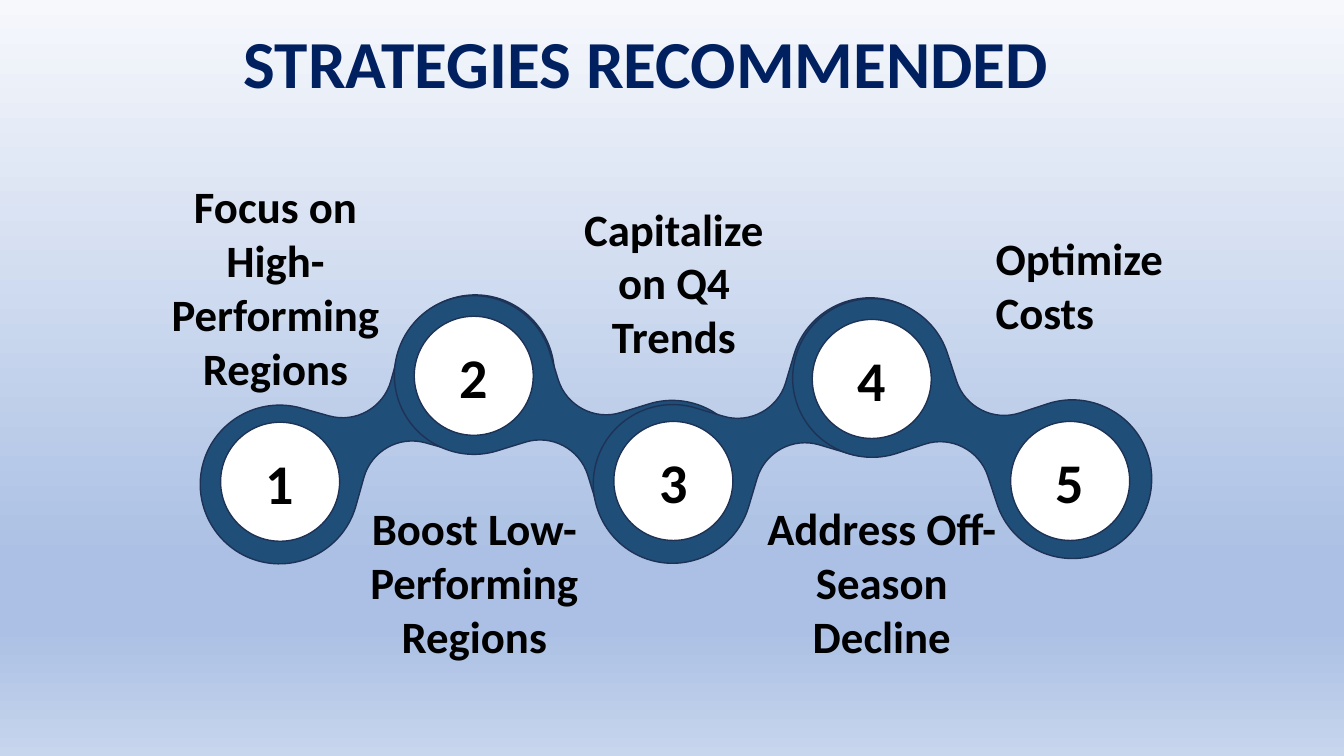
import copy

import lxml.etree
import pptx
import pptx.dml.color
import pptx.enum.shapes
import pptx.enum.text
import pptx.oxml.ns
import pptx.util

Cm = pptx.util.Cm
qn = pptx.oxml.ns.qn
ALIGN = pptx.enum.text.PP_ALIGN
ANCHOR = pptx.enum.text.MSO_ANCHOR

COLORS = {
    "title": "002060",
    "text": "000000",
    "link": "1F4E79",
    "edge": "1E3256",
    "disc": "FFFFFF",
}
BACKGROUND = [(0, "F6F8FC"), (0.74, "ABC0E4"), (0.83, "ABC0E4"), (1, "C7D5ED")]
LINKS = [(9.51, 10.82, 15.6), (14.44, 10.77, 72.8), (19.44, 10.85, 16.6), (24.5, 10.8, 71.8)]
DISCS = [(7.06, 12.14), (11.94, 9.47), (16.97, 12.12), (21.97, 9.55), (26.97, 12.12)]
LABELS = [
    ("Focus on High-Performing Regions", (4.01, 4.39, 5.87, 5.74), ALIGN.CENTER),
    ("Boost Low-Performing Regions", (9.02, 12.5, 5.87, 4.37), ALIGN.CENTER),
    ("Capitalize on Q4 Trends", (14.05, 4.95, 5.87, 4.37), ALIGN.CENTER),
    ("Address Off-Season Decline", (18.87, 12.5, 6.71, 4.37), ALIGN.CENTER),
    ("Optimize Costs", (24.84, 5.69, 6.12, 3), ALIGN.LEFT),
]
DISC_SIZE = 3
LOBE = 2
WAIST = 1.26
ARC = 0.55


def color(value):
    return pptx.dml.color.RGBColor.from_string(value)


def toward(start, corner):
    return tuple(a + ARC * (b - a) for a, b in zip(start, corner))


def link_outline():
    start = (LOBE, -2 * LOBE)
    steps = [
        ((2 * LOBE, -2 * LOBE), (2 * LOBE, -LOBE)),
        ((2 * LOBE, 0), (LOBE, 0)),
        (None, (WAIST, 0)),
        ((0, 0), (0, WAIST)),
        (None, (0, LOBE)),
        ((0, 2 * LOBE), (-LOBE, 2 * LOBE)),
    ]
    half, here = [], start
    for corner, end in steps:
        if corner is None:
            half += [here, end, end]
        else:
            half += [toward(here, corner), toward(end, corner), end]
        here = end
    return [start] + half + [(-x, -y) for x, y in half]


class StrategyPage:
    """Style and drawing methods for the strategy chain slide."""

    font = "Calibri"

    def __init__(self, deck):
        self.page = deck.slides.add_slide(deck.slide_layouts[5])
        self.shapes = self.page.shapes

    def background(self, stops):
        fill = self.page.background.fill
        fill.gradient()
        fill.gradient_angle = 270
        stop_list = self.page.element.find(".//" + qn("a:gsLst"))
        stop_list.extend([copy.deepcopy(stop) for stop in stop_list])
        for stop, (position, value) in zip(fill.gradient_stops, stops):
            stop.position = position
            stop.color.rgb = color(value)

    def set_text(self, shape, text, size, align, ink="text", anchor=ANCHOR.TOP):
        frame = shape.text_frame
        frame.word_wrap = True
        frame.vertical_anchor = anchor
        para = frame.paragraphs[0]
        para.text = text
        para.alignment = align
        para.font.name = self.font
        para.font.size = pptx.util.Pt(size)
        para.font.bold = True
        para.font.color.rgb = color(COLORS[ink])

    def paint(self, shape, fill):
        shape.shadow.inherit = False
        shape.fill.solid()
        shape.fill.fore_color.rgb = color(COLORS[fill])
        shape.line.color.rgb = color(COLORS["edge"])
        shape.line.width = pptx.util.Pt(1)

    def title(self, text, left, top, width, height):
        box = self.shapes.title
        box.left, box.top, box.width, box.height = map(Cm, (left, top, width, height))
        self.set_text(box, text, 48, ALIGN.LEFT, "title")
        box.text_frame.auto_size = pptx.enum.text.MSO_AUTO_SIZE.SHAPE_TO_FIT_TEXT

    def label(self, text, area, align):
        box = self.shapes.add_textbox(*map(Cm, area))
        self.set_text(box, text, 32, align)
        box.text_frame.auto_size = pptx.enum.text.MSO_AUTO_SIZE.SHAPE_TO_FIT_TEXT

    def link(self, x, y, angle):
        points = [(Cm(a), Cm(b)) for a, b in link_outline()]
        builder = self.shapes.build_freeform(*points[0])
        builder.add_line_segments(points[1:], close=True)
        shape = builder.convert_to_shape(Cm(x), Cm(y))
        lines = shape.element.findall(".//" + qn("a:lnTo"))
        for first in range(0, len(lines), 3):
            curve = lxml.etree.Element(qn("a:cubicBezTo"))
            lines[first].addprevious(curve)
            for line in lines[first:first + 3]:
                curve.append(line[0])
                line.getparent().remove(line)
        shape.rotation = angle
        self.paint(shape, "link")

    def disc(self, number, x, y):
        corner = Cm(x - DISC_SIZE / 2), Cm(y - DISC_SIZE / 2)
        kind = pptx.enum.shapes.MSO_SHAPE.FLOWCHART_CONNECTOR
        shape = self.shapes.add_shape(kind, *corner, Cm(DISC_SIZE), Cm(DISC_SIZE))
        self.paint(shape, "disc")
        self.set_text(shape, str(number), 40, ALIGN.CENTER, anchor=ANCHOR.MIDDLE)


def main():
    deck = pptx.Presentation()
    deck.slide_width, deck.slide_height = Cm(33.87), Cm(19.05)
    page = StrategyPage(deck)
    page.background(BACKGROUND)
    page.title("STRATEGIES RECOMMENDED", 5.89, 0.41, 20.9, 2.31)
    for number, center in enumerate(DISCS, 1):
        if number <= len(LINKS):
            page.link(*LINKS[number - 1])
        page.disc(number, *center)
    for text, area, align in LABELS:
        page.label(text, area, align)
    deck.save("out.pptx")


if __name__ == "__main__":
    main()
